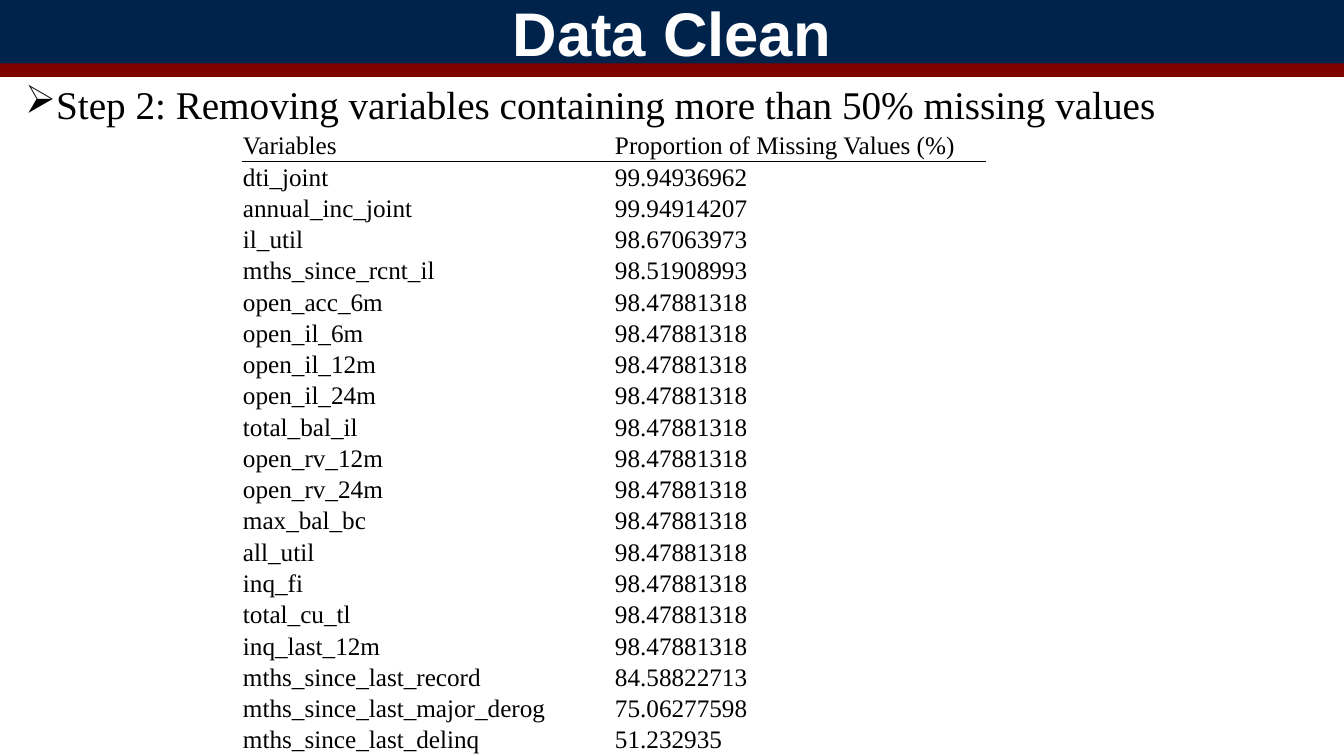
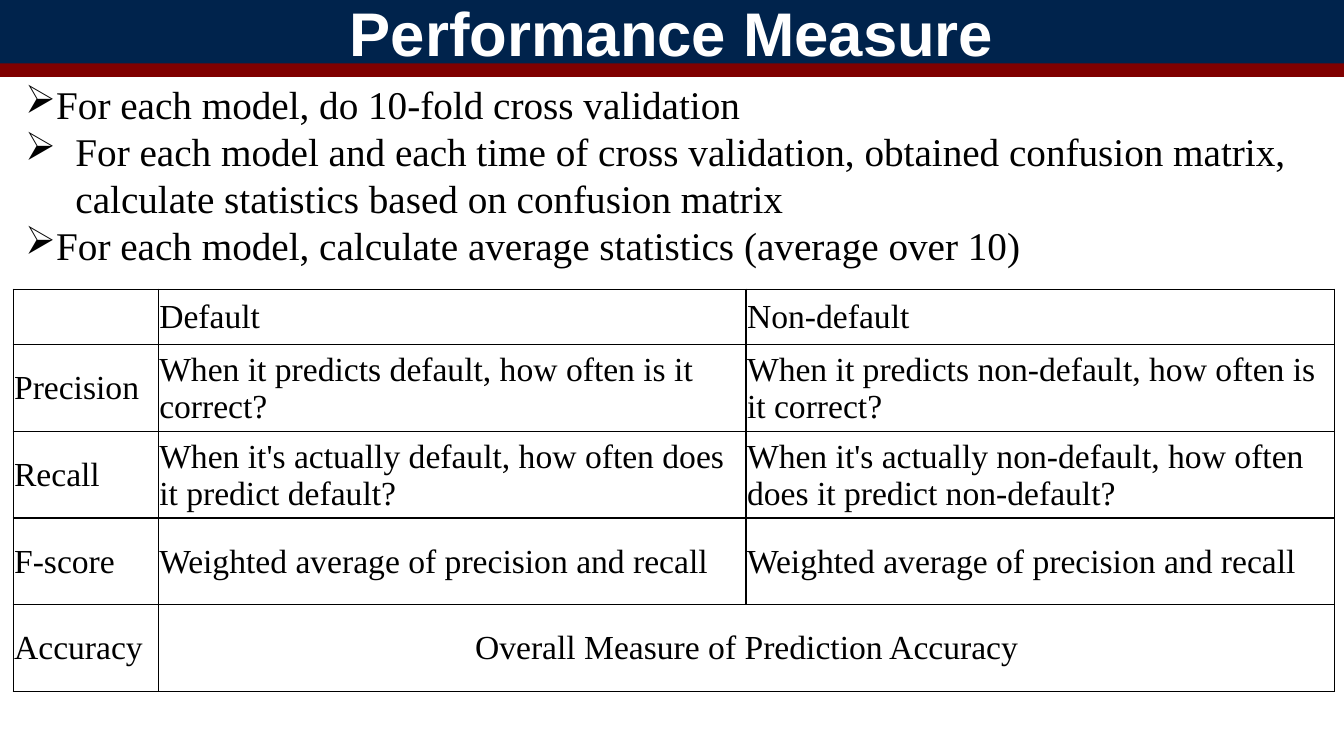
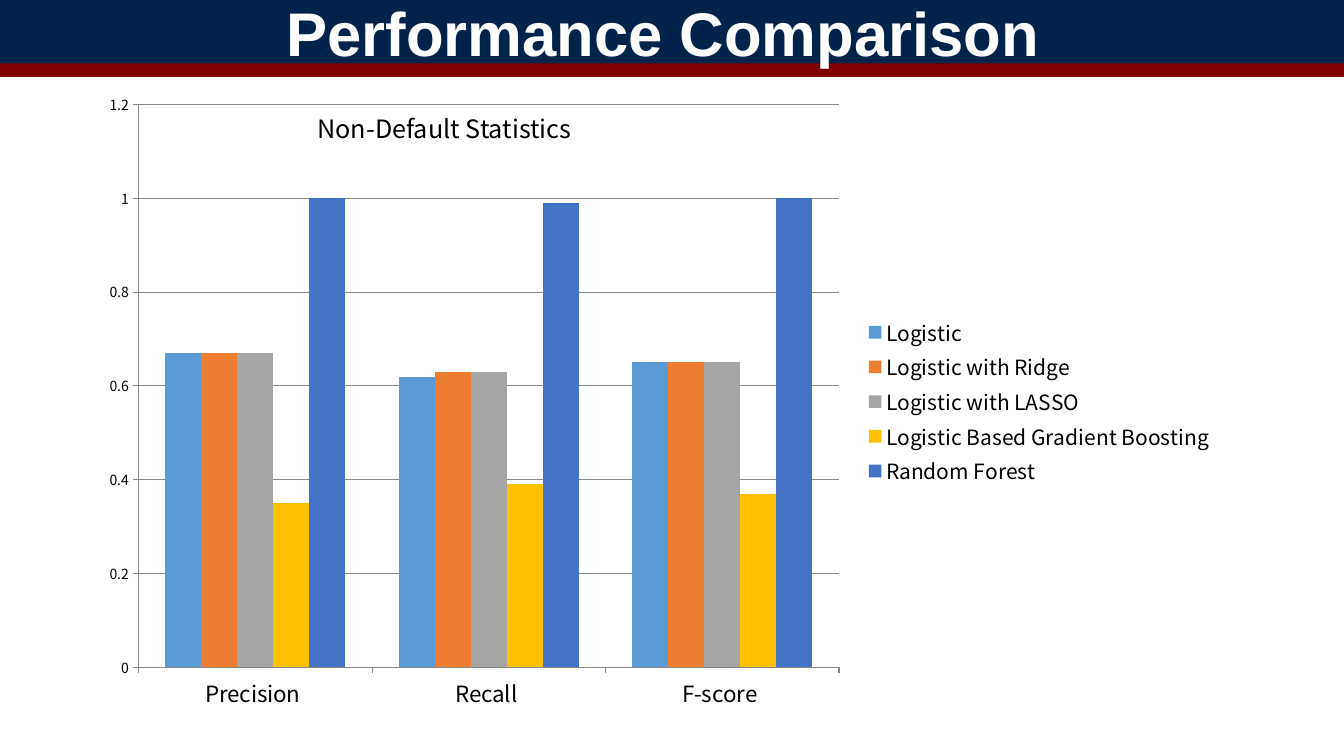
"""Build three slides on data cleaning and model performance."""
from dataclasses import dataclass

from lxml import etree
from pptx import Presentation
from pptx.chart.data import CategoryChartData
from pptx.dml.color import RGBColor
from pptx.enum.chart import XL_CHART_TYPE, XL_LEGEND_POSITION, XL_TICK_MARK
from pptx.enum.shapes import MSO_CONNECTOR, MSO_SHAPE
from pptx.enum.text import MSO_ANCHOR, MSO_AUTO_SIZE, PP_ALIGN
from pptx.oxml.ns import qn
from pptx.slide import Slide
from pptx.table import Table, _Cell
from pptx.text.text import TextFrame, _Paragraph
from pptx.util import Inches, Pt

STRAIGHT = MSO_CONNECTOR.STRAIGHT
RECTANGLE = MSO_SHAPE.RECTANGLE
MIDDLE = MSO_ANCHOR.MIDDLE
CENTER = PP_ALIGN.CENTER
FIT_TEXT = MSO_AUTO_SIZE.SHAPE_TO_FIT_TEXT
CLUSTERED = XL_CHART_TYPE.COLUMN_CLUSTERED
LEGEND_RIGHT = XL_LEGEND_POSITION.RIGHT
TICK_OUTSIDE = XL_TICK_MARK.OUTSIDE
TICK_NONE = XL_TICK_MARK.NONE

NAVY = RGBColor(0x00, 0x23, 0x4C)
MAROON = RGBColor(0x80, 0x00, 0x00)
WHITE = RGBColor(0xFF, 0xFF, 0xFF)
BLACK = RGBColor(0x00, 0x00, 0x00)
AXIS_GRAY = RGBColor(0x87, 0x87, 0x87)

TITLE_FONT = "Arial"
BODY_FONT = "Times New Roman"
CHART_FONT = "Noto Sans CJK SC"

SLIDE_WIDTH = 13.33
BLANK_LAYOUT = 6
SIDES = "LRTB"


@dataclass(frozen=True)
class Bullet:
    """One bulleted paragraph with its level and hanging margin."""

    text: str
    level: int = 0
    margin: float = 0


@dataclass(frozen=True)
class TableLayout:
    """Place, grid and text size of a table."""

    left: float
    top: float
    columns: tuple[float, ...]
    rows: tuple[float, ...]
    size: float


@dataclass(frozen=True)
class ModelScores:
    """Scores of one model and its column colour."""

    name: str
    values: tuple[float, ...]
    color: RGBColor


STEP_BULLETS = (Bullet("Step 2: Removing variables containing more than 50% missing values"),)
MEASURE_BULLETS = (
    Bullet("For each model, do 10-fold cross validation"),
    Bullet(
        "For each model and each time of cross validation, obtained confusion matrix, "
        "calculate statistics based on confusion matrix",
        level=1,
        margin=0.5,
    ),
    Bullet("For each model, calculate average statistics (average over 10)"),
)

TIED_VARIABLES = (
    "open_acc_6m", "open_il_6m", "open_il_12m", "open_il_24m", "total_bal_il", "open_rv_12m",
    "open_rv_24m", "max_bal_bc", "all_util", "inq_fi", "total_cu_tl", "inq_last_12m",
)
MISSING_VALUES = (
    ("Variables", "Proportion of Missing Values (%)"),
    ("dti_joint", "99.94936962"),
    ("annual_inc_joint", "99.94914207"),
    ("il_util", "98.67063973"),
    ("mths_since_rcnt_il", "98.51908993"),
    *((variable, "98.47881318") for variable in TIED_VARIABLES),
    ("mths_since_last_record", "84.58822713"),
    ("mths_since_last_major_derog", "75.06277598"),
    ("mths_since_last_delinq", "51.232935"),
)
MEASURES = (
    ("", "Default", "Non-default"),
    (
        "Precision",
        "When it predicts default, how often is it correct?",
        "When it predicts non-default, how often is it correct?",
    ),
    (
        "Recall",
        "When it's actually default, how often does it predict default?",
        "When it's actually non-default, how often does it predict non-default?",
    ),
    ("F-score", *("Weighted average of precision and recall",) * 2),
    ("Accuracy", "Overall Measure of Prediction Accuracy", ""),
)
MISSING_LAYOUT = TableLayout(2.4, 1.29, (3.69,) * 2, (6.21 / len(MISSING_VALUES),) * len(MISSING_VALUES), 18)
MEASURE_LAYOUT = TableLayout(0.13, 2.87, (1.44, 5.83, 5.84), (0.55, *(0.86,) * 4), 24)

STATISTICS = ("Precision ", "Recall ", "F-score ")
MODELS = (
    ModelScores("Logistic ", (0.67, 0.62, 0.65), RGBColor(0x5B, 0x9B, 0xD5)),
    ModelScores("Logistic with Ridge ", (0.67, 0.63, 0.65), RGBColor(0xED, 0x7D, 0x31)),
    ModelScores("Logistic with LASSO ", (0.67, 0.63, 0.65), RGBColor(0xA5, 0xA5, 0xA5)),
    ModelScores("Logistic Based Gradient Boosting  ", (0.35, 0.39, 0.37), RGBColor(0xFF, 0xC0, 0x00)),
    ModelScores("Random Forest ", (1, 0.99, 1), RGBColor(0x44, 0x72, 0xC4)),
)


def set_font(paragraph: _Paragraph, name: str, size: float, color: RGBColor = BLACK) -> None:
    """Set the font of a whole paragraph."""
    paragraph.font.name = name
    paragraph.font.size = Pt(size)
    paragraph.font.color.rgb = color


def add_titled_slide(presentation: Presentation, title: str) -> Slide:
    """Add a blank slide with the title band and the rule under it."""
    slide = presentation.slides.add_slide(presentation.slide_layouts[BLANK_LAYOUT])
    rule = slide.shapes.add_connector(STRAIGHT, Inches(-0.01), Inches(0.69), Inches(SLIDE_WIDTH), Inches(0.69))
    rule.line.color.rgb = MAROON
    rule.line.width = Pt(10)
    etree.SubElement(rule._element.spPr, qn("a:effectLst"))

    band = slide.shapes.add_shape(RECTANGLE, 0, 0, Inches(SLIDE_WIDTH), Inches(0.63))
    band.shadow.inherit = False
    band.fill.solid()
    band.fill.fore_color.rgb = NAVY
    band.line.fill.background()
    band.text_frame.vertical_anchor = MIDDLE
    paragraph = band.text_frame.paragraphs[0]
    paragraph.text = title
    paragraph.alignment = CENTER
    set_font(paragraph, TITLE_FONT, 44, WHITE)
    paragraph.font.bold = True
    return slide


def add_text_frame(slide: Slide, left: float, top: float, width: float, height: float) -> TextFrame:
    """Add a wrapping text box that fits its text."""
    box = slide.shapes.add_textbox(Inches(left), Inches(top), Inches(width), Inches(height))
    box.text_frame.word_wrap = True
    box.text_frame.auto_size = FIT_TEXT
    return box.text_frame


def add_bullets(slide: Slide, bullets: tuple[Bullet, ...], height: float) -> None:
    """Add the bulleted text under the title band."""
    frame = add_text_frame(slide, 0.15, 0.75, 13.35, height)
    for index, bullet in enumerate(bullets):
        paragraph = frame.add_paragraph() if index else frame.paragraphs[0]
        paragraph.text = bullet.text
        paragraph.level = bullet.level
        properties = paragraph._p.get_or_add_pPr()
        properties.set("marL", str(Inches(bullet.margin)))
        properties.set("indent", str(Inches(-0.5)))
        etree.SubElement(properties, qn("a:buChar"), char="➢")
        set_font(paragraph, BODY_FONT, 28)


def set_borders(cell: _Cell, sides: str) -> None:
    """Draw black borders on the given sides and none on the others."""
    properties = cell._tc.get_or_add_tcPr()
    for side in SIDES:
        line = etree.SubElement(properties, qn(f"a:ln{side}"), w=str(Pt(1)))
        if side in sides:
            fill = etree.SubElement(line, qn("a:solidFill"))
            etree.SubElement(fill, qn("a:srgbClr"), val=str(BLACK))
        else:
            etree.SubElement(line, qn("a:noFill"))


def add_text_table(
    slide: Slide, layout: TableLayout, texts: tuple[tuple[str, ...], ...], row_borders: tuple[str, ...]
) -> Table:
    """Add an unfilled table, with the border sides given for each row."""
    table = slide.shapes.add_table(
        len(layout.rows),
        len(layout.columns),
        Inches(layout.left),
        Inches(layout.top),
        Inches(sum(layout.columns)),
        Inches(sum(layout.rows)),
    ).table
    table.first_row = False
    table.horz_banding = False
    for column, width in zip(table.columns, layout.columns):
        column.width = Inches(width)
    for row, height, row_texts, sides in zip(table.rows, layout.rows, texts, row_borders):
        row.height = Inches(height)
        for cell, text in zip(row.cells, row_texts):
            cell.margin_left = cell.margin_right = cell.margin_top = Inches(0.01)
            cell.margin_bottom = 0
            cell.vertical_anchor = MIDDLE
            set_borders(cell, sides)
            cell.fill.background()
            paragraph = cell.text_frame.paragraphs[0]
            if text:
                paragraph.text = text
            set_font(paragraph, BODY_FONT, layout.size)
    return table


def add_score_chart(slide: Slide) -> None:
    """Add the clustered columns that compare the models."""
    data = CategoryChartData()
    data.categories = STATISTICS
    for model in MODELS:
        data.add_series(model.name, model.values)
    chart = slide.shapes.add_chart(CLUSTERED, Inches(0.86), Inches(0.81), Inches(11.38), Inches(6.35), data).chart
    chart.font.name = CHART_FONT
    chart.font.size = Pt(10)
    chart.font.color.rgb = BLACK
    chart.has_title = False
    chart.has_legend = True
    chart.legend.position = LEGEND_RIGHT
    chart.legend.include_in_layout = False
    chart.legend.font.size = Pt(15)

    plot = chart.plots[0]
    plot.vary_by_categories = False
    plot.gap_width = 150
    plot.overlap = 0
    for series, model in zip(plot.series, MODELS):
        series.format.fill.solid()
        series.format.fill.fore_color.rgb = model.color

    chart.category_axis.tick_labels.font.size = Pt(16)
    value_axis = chart.value_axis
    value_axis.minimum_scale = 0
    value_axis.maximum_scale = 1.2
    value_axis.major_unit = 0.2
    value_axis.has_major_gridlines = True
    value_axis.major_gridlines.format.line.color.rgb = AXIS_GRAY
    for axis in (chart.category_axis, value_axis):
        axis.major_tick_mark = TICK_OUTSIDE
        axis.minor_tick_mark = TICK_NONE
        axis.format.line.color.rgb = AXIS_GRAY


def build_data_clean(presentation: Presentation) -> None:
    """Build the slide on variables with missing values."""
    slide = add_titled_slide(presentation, "Data Clean")
    add_bullets(slide, STEP_BULLETS, 0.57)
    plain_rows = ("",) * (len(MISSING_VALUES) - 2)
    add_text_table(slide, MISSING_LAYOUT, MISSING_VALUES, ("B", "T", *plain_rows))


def build_performance_measure(presentation: Presentation) -> None:
    """Build the slide that explains the measures."""
    slide = add_titled_slide(presentation, "Performance Measure")
    add_bullets(slide, MEASURE_BULLETS, 1.99)
    table = add_text_table(slide, MEASURE_LAYOUT, MEASURES, (SIDES,) * len(MEASURES))
    accuracy = table.cell(4, 1)
    accuracy.merge(table.cell(4, 2))
    accuracy.text_frame.paragraphs[0].alignment = CENTER


def build_performance_comparison(presentation: Presentation) -> None:
    """Build the slide with the chart of scores."""
    slide = add_titled_slide(presentation, "Performance Comparison ")
    caption = add_text_frame(slide, 3.05, 1.08, 4.15, 0.4).paragraphs[0]
    caption.text = "Non-Default Statistics"
    set_font(caption, CHART_FONT, 18)
    add_score_chart(slide)


def main() -> None:
    """Build and save the presentation."""
    presentation = Presentation()
    presentation.slide_width = Inches(SLIDE_WIDTH)
    presentation.slide_height = Inches(7.5)
    build_data_clean(presentation)
    build_performance_measure(presentation)
    build_performance_comparison(presentation)
    presentation.save("out.pptx")


if __name__ == "__main__":
    main()
